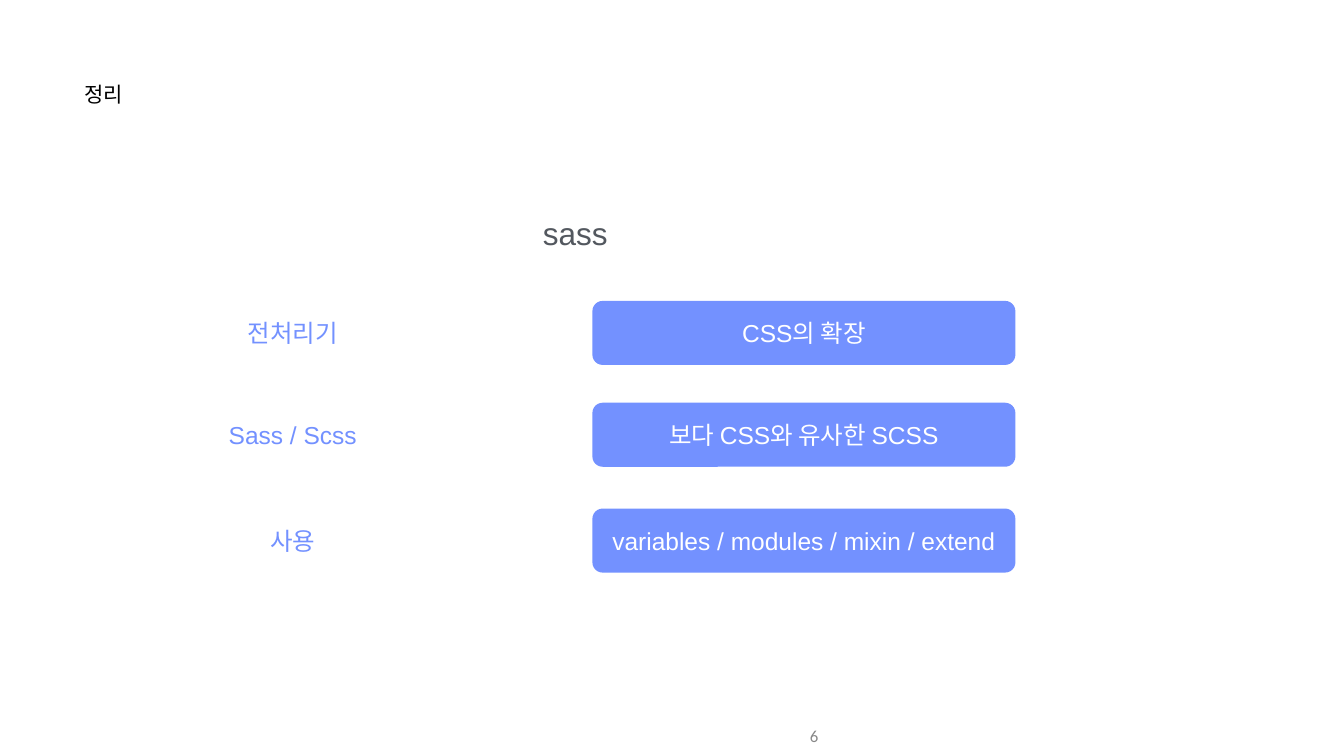
from collections import namedtuple

from pptx import Presentation
from pptx.dml.color import RGBColor
from pptx.enum.shapes import MSO_SHAPE
from pptx.enum.text import MSO_ANCHOR, MSO_AUTO_SIZE, PP_ALIGN
from pptx.util import Inches, Pt

Box = namedtuple("Box", "left top width height")

SLIDE_W, SLIDE_H = Inches(26.66), Inches(15)
BLUE, WHITE, BLACK = "7391FF", "FFFFFF", "000000"
DARK_GRAY, LIGHT_GRAY = "53585F", "888888"

# Boxes in percent of the slide's width and height
TITLE_BOX = (6.26, 10.67, 18.23, 7.87)
HEADING_BOX = (9.9, 28.27, 65.79, 5.27)
NUMBER_BOX = (38.75, 94.73, 22.51, 5.27)
ROW_LEFT, ROW_WIDTH, ROW_HEIGHT = 9.98, 65.57, 8.47
SUMMARY = [
    (39.8, "전처리기", "CSS의 확장"),
    (53.27, "Sass / Scss", "보다 CSS와 유사한 SCSS"),
    (67.27, "사용", "variables / modules / mixin / extend"),
]
# Shares of a row's width
TOPIC_SHARE, PILL_SHARE = 0.36, 0.48


def color(value):
    return RGBColor.from_string(value)


def percent_box(left, top, width, height):
    return Box(int(SLIDE_W * left / 100), int(SLIDE_H * top / 100),
               int(SLIDE_W * width / 100), int(SLIDE_H * height / 100))


def write(sp, text, size, fill, align=PP_ALIGN.CENTER, anchor=MSO_ANCHOR.MIDDLE,
          font="Arial", inset=0.01):
    tf = sp.text_frame
    tf.text = text
    tf.word_wrap = True
    tf.auto_size = MSO_AUTO_SIZE.NONE
    tf.vertical_anchor = anchor
    tf.margin_left = tf.margin_right = Inches(inset)
    tf.margin_top = tf.margin_bottom = Inches(inset)
    p = tf.paragraphs[0]
    p.alignment = align
    p.space_before = Pt(0)
    r = p.runs[0]
    r.font.name, r.font.size = font, Pt(size)
    r.font.color.rgb = color(fill)


def add_title(s, box, text):
    sp = s.shapes.title
    sp.left, sp.top, sp.width, sp.height = box
    write(sp, text, 30, BLACK, PP_ALIGN.LEFT, MSO_ANCHOR.TOP)


def add_heading(s, box, text):
    write(s.shapes.add_textbox(*box), text, 45, DARK_GRAY, anchor=MSO_ANCHOR.TOP)


def add_summary_row(s, box, topic, detail):
    """Place a plain topic at the left of the box and a filled pill at its right."""
    topic_width = int(box.width * TOPIC_SHARE)
    label = s.shapes.add_textbox(box.left, box.top, topic_width, box.height)
    write(label, topic, 35, BLUE)

    pill_width = int(box.width * PILL_SHARE)
    pill = s.shapes.add_shape(MSO_SHAPE.ROUNDED_RECTANGLE,
                              box.left + box.width - pill_width, box.top,
                              pill_width, box.height)
    pill.adjustments[0] = 0.16
    pill.shadow.inherit = False
    pill.fill.solid()
    pill.fill.fore_color.rgb = color(BLUE)
    pill.line.fill.background()
    write(pill, detail, 35, WHITE)


def add_page_number(s, box, number):
    write(s.shapes.add_textbox(*box), number, 24, LIGHT_GRAY, PP_ALIGN.RIGHT,
          font="Calibri", inset=0.1)


def main():
    prs = Presentation()
    prs.slide_width, prs.slide_height = SLIDE_W, SLIDE_H
    s = prs.slides.add_slide(prs.slide_layouts[5])
    add_title(s, percent_box(*TITLE_BOX), "정리")
    add_heading(s, percent_box(*HEADING_BOX), "sass")
    for top, topic, detail in SUMMARY:
        row = percent_box(ROW_LEFT, top, ROW_WIDTH, ROW_HEIGHT)
        add_summary_row(s, row, topic, detail)
    add_page_number(s, percent_box(*NUMBER_BOX), "6")
    prs.save("out.pptx")


if __name__ == "__main__":
    main()
